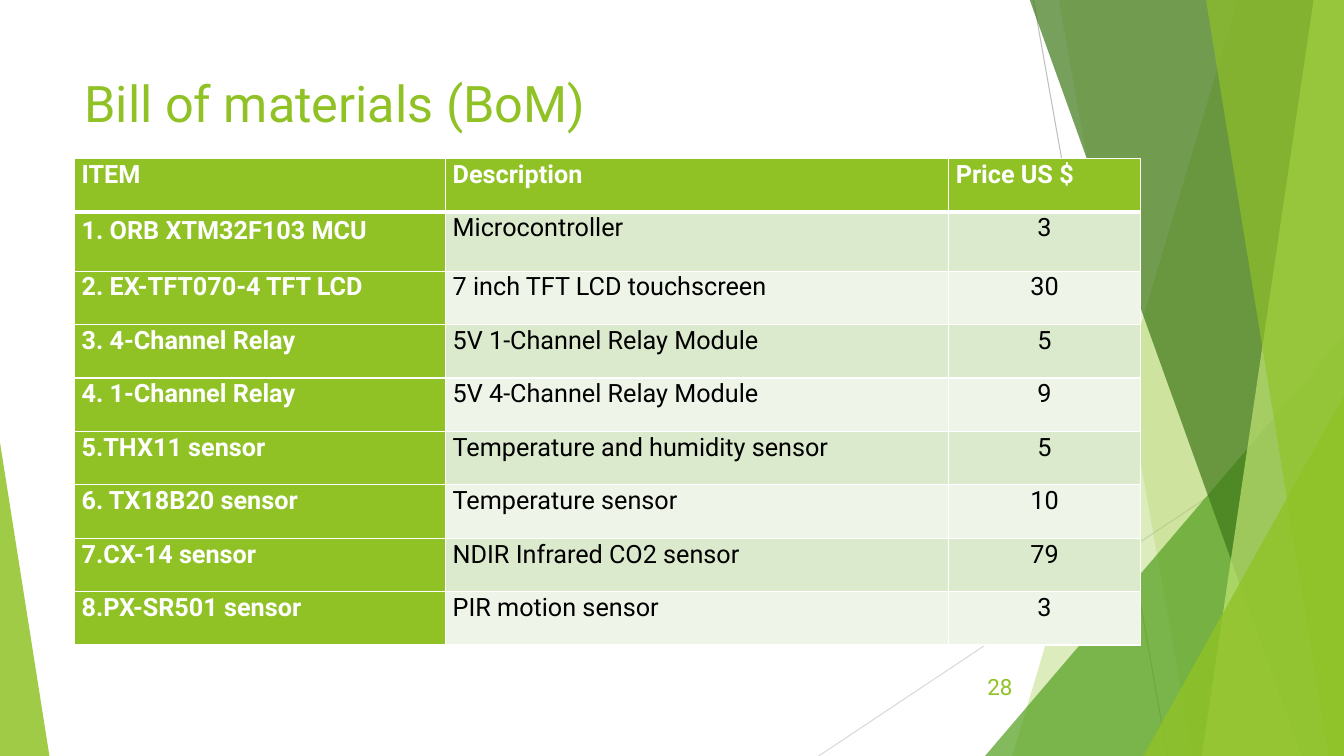
from lxml.etree import SubElement
from pptx import Presentation
from pptx.dml.color import RGBColor
from pptx.enum.shapes import MSO_CONNECTOR, MSO_SHAPE
from pptx.enum.text import MSO_ANCHOR, PP_ALIGN
from pptx.oxml.ns import qn
from pptx.util import Inches, Pt

GREEN = RGBColor(0x90, 0xC2, 0x26)
MID_GREEN = RGBColor(0x54, 0xA0, 0x21)
DARK_GREEN = RGBColor(0x3F, 0x78, 0x19)
LIME = RGBColor(0xC0, 0xE4, 0x74)
BAND_DARK = RGBColor(0xDB, 0xE9, 0xCD)
BAND_LIGHT = RGBColor(0xEE, 0xF4, 0xE8)
GRAY = RGBColor(0xBF, 0xBF, 0xBF)
LIGHT_GRAY = RGBColor(0xD9, 0xD9, 0xD9)
WHITE = RGBColor(0xFF, 0xFF, 0xFF)
BLACK = RGBColor(0x00, 0x00, 0x00)

WIDTH, HEIGHT = 13.33, 7.5
TOP = -0.01

HEADER = ("ITEM", "Description", "Price US $")
MATERIALS = [
    ("1. ORB XTM32F103 MCU", "Microcontroller", "3"),
    ("2. EX-TFT070-4 TFT LCD", "7 inch TFT LCD touchscreen", "30"),
    ("3. 4-Channel Relay", "5V 1-Channel Relay Module", "5"),
    ("4. 1-Channel Relay", "5V 4-Channel Relay Module", "9"),
    ("5.THX11 sensor", "Temperature and humidity sensor", "5"),
    ("6. TX18B20 sensor", "Temperature sensor", "10"),
    ("7.CX-14 sensor", "NDIR Infrared CO2 sensor", "79"),
    ("8.PX-SR501 sensor", "PIR motion sensor", "3"),
]
COLUMN_WIDTHS = (3.68, 4.99, 1.9)
ROW_HEIGHTS = [0.53, 0.59] + [0.53] * 7


def set_attributes(target, values):
    for name, value in values.items():
        setattr(target, name, value)


class SlideBuilder:
    font_name = "Roboto"

    def __init__(self, slide):
        self.slide = slide

    def line(self, start, end, color):
        connector = self.slide.shapes.add_connector(
            MSO_CONNECTOR.STRAIGHT, *map(Inches, start + end))
        connector.line.color.rgb = color
        connector.line.width = Pt(0.75)
        SubElement(connector._element.spPr, qn("a:effectLst"))

    def paint(self, shape, color, opacity):
        shape.shadow.inherit = False
        shape.line.fill.background()
        shape.fill.solid()
        shape.fill.fore_color.rgb = color
        color_element = shape._element.spPr.find(qn("a:solidFill"))[0]
        SubElement(color_element, qn("a:alpha"), val=str(opacity * 1000))

    def facet(self, top_left, bottom_left, color, opacity):
        corners = [(top_left, TOP), (WIDTH, TOP), (WIDTH, HEIGHT), (bottom_left, HEIGHT)]
        points = [(Inches(x), Inches(y)) for x, y in corners]
        builder = self.slide.shapes.build_freeform(*points[0])
        builder.add_line_segments(points[1:], close=True)
        self.paint(builder.convert_to_shape(), color, opacity)

    def triangle(self, left, top, width, apex, color, opacity):
        shape = self.slide.shapes.add_shape(
            MSO_SHAPE.ISOSCELES_TRIANGLE,
            *map(Inches, (left, top, width, HEIGHT - top)))
        shape.adjustments[0] = apex
        self.paint(shape, color, opacity)

    def fill_paragraph(self, paragraph, text, font, layout):
        set_attributes(paragraph, layout)
        run = paragraph.add_run()
        run.text = text
        run.font.name = self.font_name
        run.font.color.rgb = font["color"]
        set_attributes(run.font, {"size": Pt(font["size"]), "bold": font.get("bold", False)})

    def text(self, box, text, size, anchor, alignment):
        frame = self.slide.shapes.add_textbox(*map(Inches, box)).text_frame
        set_attributes(frame, {"word_wrap": True, "vertical_anchor": anchor})
        self.fill_paragraph(frame.paragraphs[0], text, {"size": size, "color": GREEN},
                            {"alignment": alignment})

    def borders(self, cell, top, bottom):
        properties = cell._tc.get_or_add_tcPr()
        for side, points in (("L", 1), ("R", 1), ("T", top), ("B", bottom)):
            border = SubElement(properties, qn(f"a:ln{side}"), w=str(Pt(points)))
            fill = SubElement(border, qn("a:solidFill"))
            SubElement(fill, qn("a:srgbClr"), val=str(WHITE))

    def cell(self, cell, text, row, column):
        is_header = row == 0
        is_label = is_header or column == 0
        band = BAND_DARK if row % 2 else BAND_LIGHT
        set_attributes(cell, {
            "margin_left": Inches(0.07), "margin_right": Inches(0.07),
            "margin_top": 0, "margin_bottom": 0,
        })
        self.borders(cell, 3 if row == 1 else 1, 3 if is_header else 1)
        cell.fill.solid()
        cell.fill.fore_color.rgb = GREEN if is_label else band
        centered = column == 2 and not is_header
        layout = {"alignment": PP_ALIGN.CENTER if centered else PP_ALIGN.JUSTIFY,
                  "line_spacing": 1.05}
        if (row, column) == (1, 0):
            layout = {"alignment": PP_ALIGN.LEFT, "line_spacing": 1.15,
                      "space_after": Pt(10)}
        font = {"size": 18, "color": WHITE if is_label else BLACK, "bold": is_label}
        self.fill_paragraph(cell.text_frame.paragraphs[0], text, font, layout)

    def table(self, left, top, rows):
        table = self.slide.shapes.add_table(
            len(rows), len(COLUMN_WIDTHS), Inches(left), Inches(top),
            Inches(sum(COLUMN_WIDTHS)), Inches(sum(ROW_HEIGHTS))).table
        for column, width in zip(table.columns, COLUMN_WIDTHS):
            column.width = Inches(width)
        for row, height in zip(table.rows, ROW_HEIGHTS):
            row.height = Inches(height)
        for row, values in enumerate(rows):
            for column, value in enumerate(values):
                self.cell(table.cell(row, column), value, row, column)


def main():
    presentation = Presentation()
    set_attributes(presentation, {"slide_width": Inches(WIDTH), "slide_height": Inches(HEIGHT)})
    builder = SlideBuilder(presentation.slides.add_slide(presentation.slide_layouts[6]))

    builder.line((10.25, 0), (11.58, HEIGHT), GRAY)
    builder.line((WIDTH, 4.03), (8.12, HEIGHT), LIGHT_GRAY)
    builder.facet(12.28, 10.04, GREEN, 30)
    builder.facet(10.5, 11.83, GREEN, 20)
    builder.triangle(9.77, 3.33, 3.56, 1, MID_GREEN, 72)
    builder.facet(10.21, 12.91, DARK_GREEN, 70)
    builder.facet(13.03, 11.92, LIME, 70)
    builder.facet(11.96, 13.18, GREEN, 65)
    builder.triangle(11.34, 3.93, 1.99, 1, GREEN, 80)
    builder.triangle(0, 4.39, 0.49, 0, GREEN, 85)

    builder.text((0.74, 0.67, 9.4, 1.44), "Bill of materials (BoM)", 36,
                 MSO_ANCHOR.TOP, PP_ALIGN.LEFT)
    builder.table(0.74, 1.57, [HEADER] + MATERIALS)
    builder.text((9.39, 6.61, 0.75, 0.4), "28", 16, MSO_ANCHOR.MIDDLE, PP_ALIGN.RIGHT)
    presentation.save("out.pptx")


if __name__ == "__main__":
    main()
